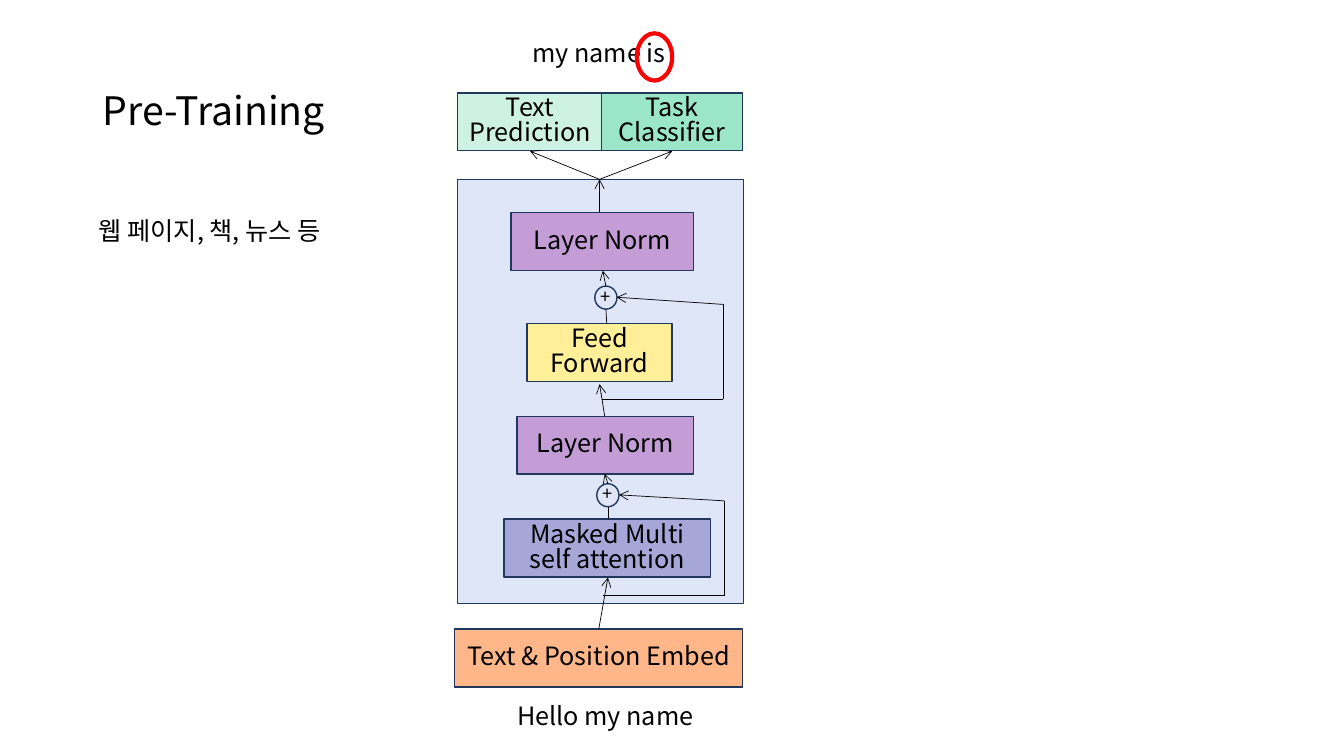
from lxml.etree import SubElement
from pptx import Presentation
from pptx.dml.color import RGBColor
from pptx.enum.shapes import MSO_CONNECTOR, MSO_SHAPE
from pptx.enum.text import MSO_ANCHOR, PP_ALIGN
from pptx.oxml.ns import qn
from pptx.util import Cm, Pt

FONT = "Noto Sans CJK KR"
NAVY = "21375E"
BLACK = "000000"
LAYER_HEIGHT = 1.46
LINE_SPACING = 0.83


def colour(value):
    return RGBColor.from_string(value)


def write(shape, text, size, align=PP_ALIGN.LEFT, anchor=MSO_ANCHOR.TOP):
    frame = shape.text_frame
    frame.word_wrap = True
    frame.vertical_anchor = anchor
    frame.text = text
    for para in frame.paragraphs:
        para.alignment = align
        para.line_spacing = LINE_SPACING
        for span in para.runs:
            span.font.size = Pt(size)
            span.font.name = FONT
            span.font.color.rgb = colour(BLACK)
            SubElement(span.font._element, qn("a:ea"), typeface=FONT)


def add_label(page, text, left, top, width, height=1.02, size=18,
              anchor=MSO_ANCHOR.TOP):
    box = page.shapes.add_textbox(Cm(left), Cm(top), Cm(width), Cm(height))
    write(box, text, size, anchor=anchor)


def add_figure(page, kind, left, top, width, height, fill=None,
               line=NAVY, weight=1):
    figure = page.shapes.add_shape(kind, Cm(left), Cm(top), Cm(width), Cm(height))
    figure.shadow.inherit = False
    if fill:
        figure.fill.solid()
        figure.fill.fore_color.rgb = colour(fill)
    else:
        figure.fill.background()
    figure.line.color.rgb = colour(line)
    figure.line.width = Pt(weight)
    return figure


def add_layer(page, text, left, top, width, fill):
    layer = add_figure(page, MSO_SHAPE.RECTANGLE, left, top, width,
                       LAYER_HEIGHT, fill)
    write(layer, text, 18, PP_ALIGN.CENTER, MSO_ANCHOR.MIDDLE)


def add_sum(page, left, top):
    circle = add_figure(page, MSO_SHAPE.OVAL, left, top, 0.56, 0.58)
    frame = circle.text_frame
    frame.margin_left = frame.margin_right = 0
    frame.margin_top = frame.margin_bottom = 0
    write(circle, "+", 13, PP_ALIGN.CENTER, MSO_ANCHOR.MIDDLE)


def add_line(page, start, end, arrow=True):
    line = page.shapes.add_connector(
        MSO_CONNECTOR.STRAIGHT, *map(Cm, start), *map(Cm, end))
    line.line.color.rgb = colour(BLACK)
    line.line.width = Pt(0.5)
    if arrow:
        SubElement(line.line._get_or_add_ln(), qn("a:tailEnd"), type="arrow")
    SubElement(line._element.spPr, qn("a:effectLst"))


def add_skip(page, branch, side, bend, target):
    """Draw a bypass: out to the side, up, and back to the sum."""
    corner = (side, branch[1])
    add_line(page, branch, corner, arrow=False)
    add_line(page, corner, (side, bend), arrow=False)
    add_line(page, (side, bend), target)


def main():
    deck = Presentation()
    deck.slide_width, deck.slide_height = Cm(33.87), Cm(19.05)
    page = deck.slides.add_slide(deck.slide_layouts[6])

    # Transformer block behind its layers
    add_figure(page, MSO_SHAPE.RECTANGLE, 11.53, 4.52, 7.21, 10.69, "DFE6F7")

    # Layers, from the output heads down to the embedding
    for layer in (
        ("Text\nPrediction", 11.53, 2.34, 3.66, "CDF2E4"),
        ("Task\nClassifier", 15.16, 2.34, 3.56, "9BE5C8"),
        ("Layer Norm", 12.88, 5.36, 4.6, "C49DD6"),
        ("Feed Forward", 13.28, 8.15, 3.66, "FFEF99"),
        ("Layer Norm", 13.03, 10.49, 4.45, "C49DD6"),
        ("Masked Multi self attention", 12.7, 13.08, 5.21, "A6A7D8"),
        ("Text & Position Embed", 11.46, 15.85, 7.26, "FFB689"),
    ):
        add_layer(page, *layer)

    # Sums and their bypasses
    add_sum(page, 14.99, 7.21)
    add_sum(page, 15.04, 12.19)
    add_skip(page, (15.16, 10.06), 18.22, 7.67, (15.54, 7.49))
    add_skip(page, (15.19, 15.01), 18.25, 12.62, (15.6, 12.47))

    # Main flow, upwards
    block_top = (15.11, 4.52)
    for start, end in (
        ((15.09, 15.85), (15.32, 14.55)),
        ((15.32, 12.19), (15.24, 11.94)),
        ((15.24, 10.49), (15.11, 9.68)),
        ((15.27, 7.21), (15.19, 6.82)),
        ((15.11, 5.35), block_top),
        (block_top, (13.36, 3.81)),
        (block_top, (16.94, 3.81)),
    ):
        add_line(page, start, end)
    add_line(page, (15.32, 12.77), (15.32, 13.08), arrow=False)
    add_line(page, (15.27, 7.79), (15.29, 8.15), arrow=False)

    # Output, input and the predicted word
    add_label(page, "my name is", 13.16, 0.94, 4.17)
    add_label(page, "Hello my name", 12.78, 17.65, 6.6)
    add_figure(page, MSO_SHAPE.OVAL, 16.05, 0.84, 0.89, 1.19,
               line="FF0000", weight=3)

    # Heading and training data
    add_label(page, "Pre-Training", 2.34, 1.02, 29.21, 3.68, 28,
              MSO_ANCHOR.MIDDLE)
    add_label(page, "웹 페이지, 책, 뉴스 등", 2.24, 5.44, 7.65)

    deck.save("out.pptx")


if __name__ == "__main__":
    main()
